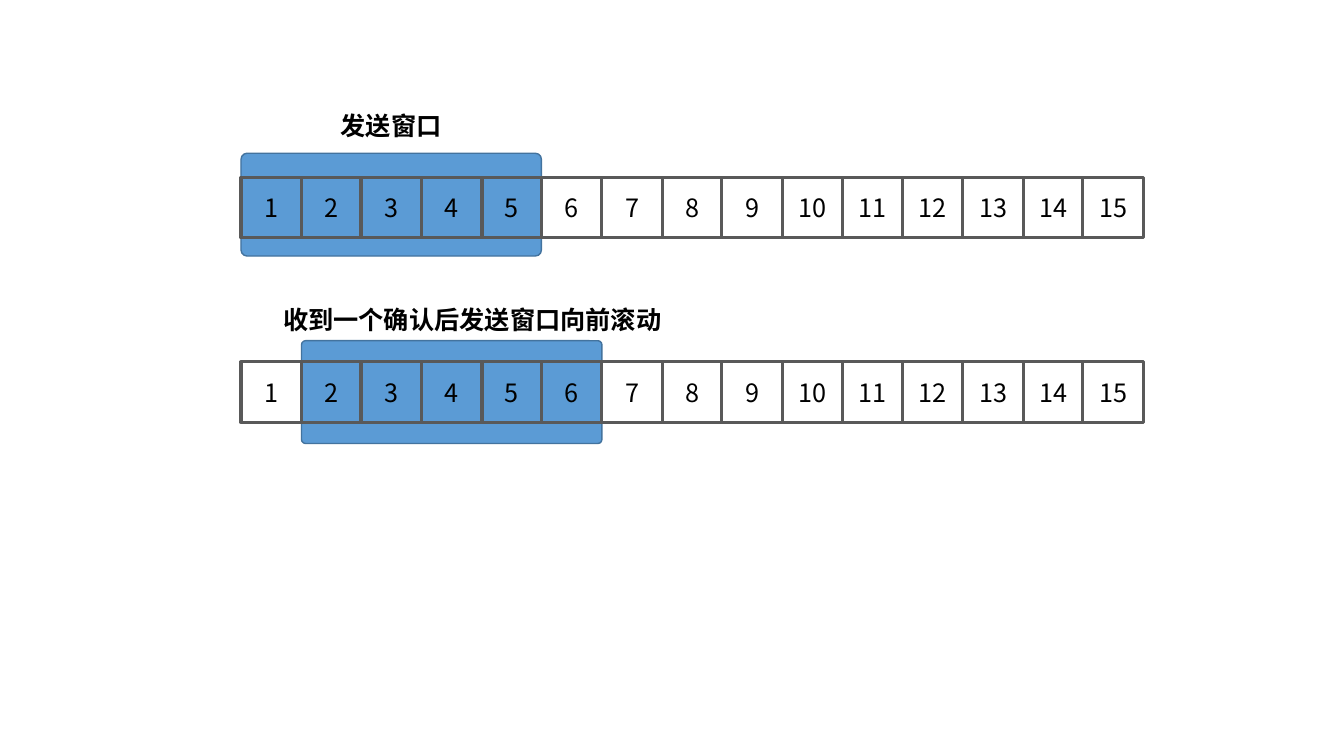
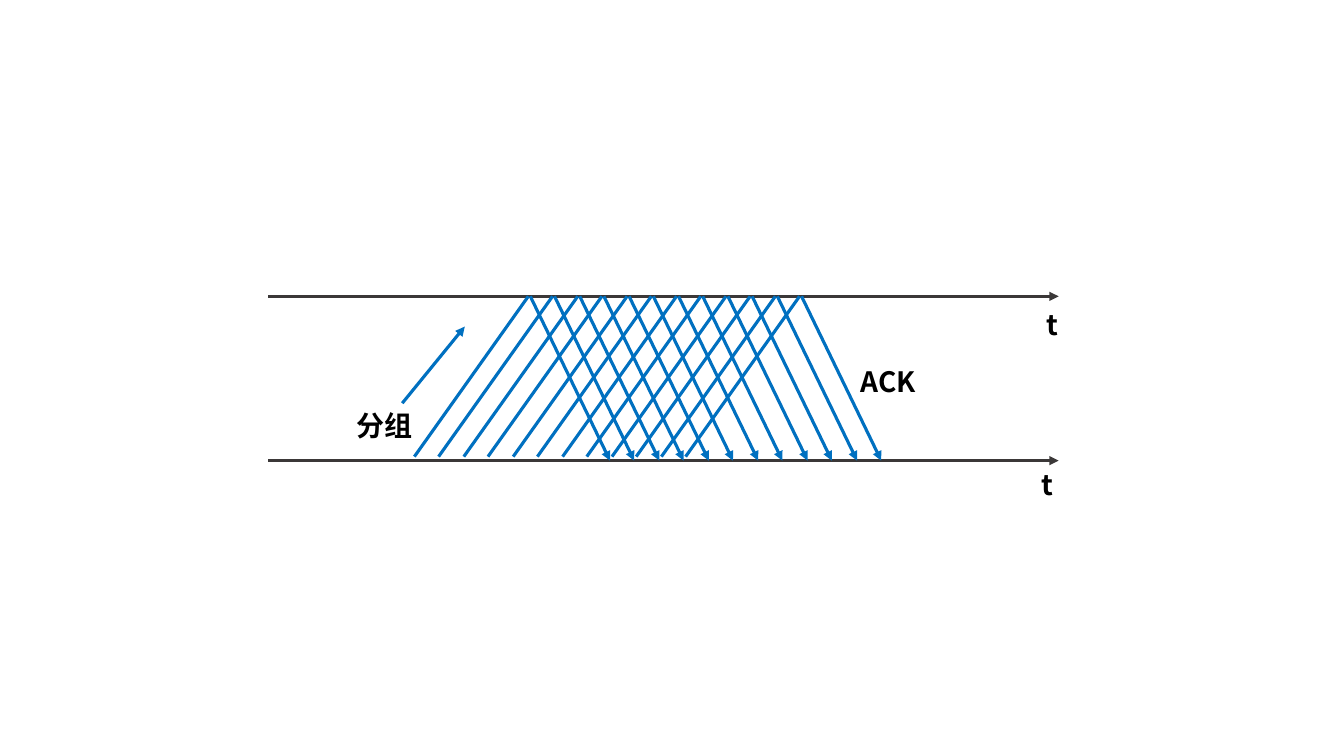
import dataclasses

import pptx
import pptx.dml.color
import pptx.enum.shapes
import pptx.enum.text
import pptx.oxml
import pptx.oxml.ns
import pptx.util

EMU_PER_PX = 9144  # 100 px to the inch


@dataclasses.dataclass(frozen=True)
class Theme:
    font: str = "Noto Sans CJK SC"
    text: str = "000000"
    window: str = "5B9BD5"
    window_edge: str = "43739E"
    cell_edge: str = "595959"
    axis: str = "3B3838"
    signal: str = "0070C0"
    sequence_size: int = 18
    timing_size: int = 20
    thin: float = 1
    thick: float = 2.25


THEME = Theme()


def px(length):
    return pptx.util.Emu(length * EMU_PER_PX)


def rgb(colour):
    return pptx.dml.color.RGBColor.from_string(colour)


def spread(start, span, steps):
    """Whole-pixel positions that divide a span into equal steps."""
    return [start + round(span * step / steps) for step in range(steps + 1)]


# Element kinds
def add_run(paragraph, text, size, bold=False):
    run = paragraph.add_run()
    run.text = text
    run.font.size = pptx.util.Pt(size)
    run.font.bold = bold
    run.font.color.rgb = rgb(THEME.text)
    run.font.name = THEME.font
    east_asian = pptx.oxml.parse_xml(
        f'<a:ea {pptx.oxml.ns.nsdecls("a")} typeface="{THEME.font}"/>')
    run.font._element.append(east_asian)


def add_label(slide, text, left, top, width, height, size, wrap=True):
    label = slide.shapes.add_textbox(px(left), px(top), px(width), px(height))
    frame = label.text_frame
    frame.word_wrap = wrap
    frame.auto_size = pptx.enum.text.MSO_AUTO_SIZE.SHAPE_TO_FIT_TEXT
    add_run(frame.paragraphs[0], text, size, bold=True)


def add_box(slide, kind, left, top, width, height, edge, weight, fill=None):
    box = slide.shapes.add_shape(kind, px(left), px(top), px(width), px(height))
    box.shadow.inherit = False
    if fill:
        box.fill.solid()
        box.fill.fore_color.rgb = rgb(fill)
    else:
        box.fill.background()
    box.line.color.rgb = rgb(edge)
    box.line.width = pptx.util.Pt(weight)
    return box


def add_window(slide, left, top, width, height, rounding):
    window = add_box(slide, pptx.enum.shapes.MSO_SHAPE.ROUNDED_RECTANGLE,
                     left, top, width, height,
                     THEME.window_edge, THEME.thin, THEME.window)
    window.adjustments[0] = rounding


def add_cell(slide, number, left, top, width, height):
    cell = add_box(slide, pptx.enum.shapes.MSO_SHAPE.RECTANGLE,
                   left, top, width, height, THEME.cell_edge, THEME.thick)
    cell.text_frame.vertical_anchor = pptx.enum.text.MSO_ANCHOR.MIDDLE
    paragraph = cell.text_frame.paragraphs[0]
    paragraph.alignment = pptx.enum.text.PP_ALIGN.CENTER
    add_run(paragraph, str(number), THEME.sequence_size)


def add_line(parent, start, end, colour, arrow=True):
    line = parent.shapes.add_connector(
        pptx.enum.shapes.MSO_CONNECTOR.STRAIGHT,
        *(px(value) for value in (*start, *end)))
    line.line.color.rgb = rgb(colour)
    line.line.width = pptx.util.Pt(THEME.thick)
    properties = line._element.spPr
    namespace = pptx.oxml.ns.nsdecls("a")
    if arrow:
        outline = properties.find(pptx.oxml.ns.qn("a:ln"))
        outline.append(pptx.oxml.parse_xml(
            f'<a:tailEnd {namespace} type="triangle"/>'))
    properties.append(pptx.oxml.parse_xml(f"<a:effectLst {namespace}/>"))


# Slides
def build_sliding_window(slide):
    edges = spread(239, 895, 15)
    window_size = 5
    cell_height = 60

    # Windows lie behind the numbered cells
    for first, top, rounding in ((1, 338, 0.04), (0, 152, 0.06)):
        left = edges[first]
        add_window(slide, left, top, edges[first + window_size] - left, 102,
                   rounding)

    # Sequence numbers before and after the acknowledgement
    for top in (176, 359):
        for number, (left, right) in enumerate(zip(edges, edges[1:]), 1):
            add_cell(slide, number, left, top, right - left, cell_height)

    for text, left, top, width in (
            ("发送窗口", 328, 105, 121),
            ("收到一个确认后发送窗口向前滚动", 271, 297, 399)):
        add_label(slide, text, left, top, width, 40, THEME.sequence_size,
                  wrap=False)


def build_packet_timing(slide):
    receiver, sender = 294, 457

    # Time axes
    for level in (receiver, sender):
        add_line(slide, (266, level), (1050, level), THEME.axis)

    # Each packet and its returning ACK
    for sent in spread(411, 269, 11):
        exchange = slide.shapes.add_group_shape()
        add_line(exchange, (sent, sender - 4), (sent + 113, receiver),
                 THEME.signal, arrow=False)
        add_line(exchange, (sent + 115, receiver), (sent + 194, sender),
                 THEME.signal)

    # Pointer and labels
    add_line(slide, (399, 400), (461, 324), THEME.signal)
    for text, left, top, width in (
            ("分组", 344, 400, 89),
            ("ACK", 844, 357, 89),
            ("t", 1028, 300, 44),
            ("t", 1023, 459, 44)):
        add_label(slide, text, left, top, width, 44, THEME.timing_size)


def main():
    deck = pptx.Presentation()
    deck.slide_width, deck.slide_height = px(1333), px(750)
    blank = deck.slide_layouts[6]
    for build in (build_sliding_window, build_packet_timing):
        build(deck.slides.add_slide(blank))
    deck.save("out.pptx")


if __name__ == "__main__":
    main()
